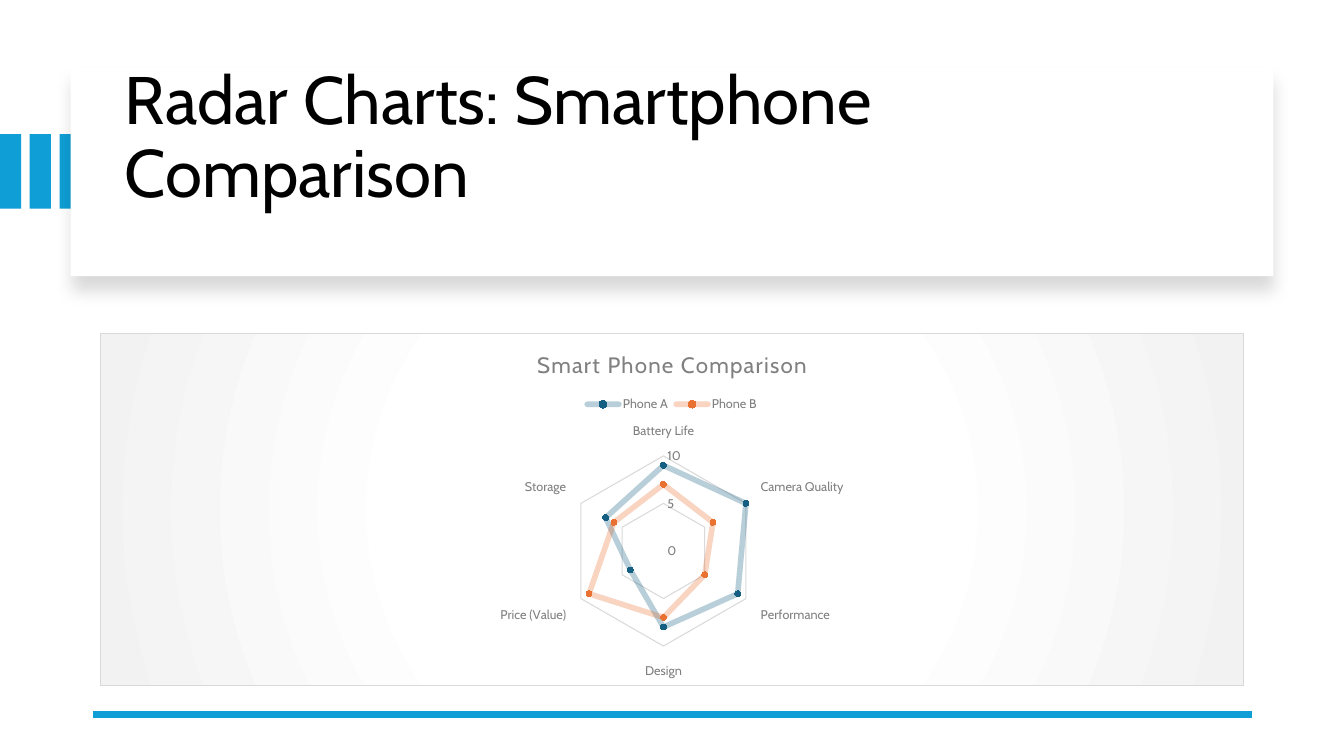
from lxml import etree
from pptx import Presentation
from pptx import util as u
from pptx.chart.data import CategoryChartData
from pptx.dml.color import RGBColor
from pptx.enum import chart as ch, shapes, text
from pptx.oxml import parse_xml
from pptx.oxml.ns import nsdecls, qn

THEME = dict(font="Cabin", accent="0F9ED5", white="FFFFFF", ink="000000",
             grey="808080", rule="D9D9D9", edge="F2F2F2",
             phone_a="156082", phone_b="E97132",
             title=48, chart_title=16, base=10, label=9)
rgb = lambda name: RGBColor.from_string(THEME[name])


def style(font, size, color):
    fmt = dict(name=THEME["font"], size=u.Pt(THEME[size]), bold=False)
    for key, value in fmt.items():
        setattr(font, key, value)
    font.color.rgb = rgb(color)


def block(left, top, width, height, color):
    sp = s.shapes.add_shape(shapes.MSO_SHAPE.RECTANGLE,
                            *map(u.Inches, (left, top, width, height)))
    sp.shadow.inherit = False
    sp.fill.solid()
    sp.fill.fore_color.rgb = rgb(color)
    sp.line.fill.background()
    return sp


prs = Presentation()
prs.slide_width, prs.slide_height = u.Inches(13.33), u.Inches(7.5)
s = prs.slides.add_slide(prs.slide_layouts[6])

# Accent bars at the left edge
for col in range(3):
    block(col * 0.295, 1.33, 0.21, 0.74, "accent")

# Title card with a soft shadow below
card = block(0.7, 0.67, 11.93, 2.07, "white")
effects = card._element.spPr.find(qn("a:effectLst"))
effects.append(parse_xml(
    f'<a:outerShdw {nsdecls("a")} blurRad="{u.Pt(11)}" dist="{u.Pt(10)}" '
    'dir="5400000" algn="t" rotWithShape="0"><a:srgbClr val="000000">'
    '<a:alpha val="15000"/></a:srgbClr></a:outerShdw>'))

# Title, raised by one line through the bottom margin
tf = s.shapes.add_textbox(*map(u.Inches, (1.14, 0.89, 11.13, 1.7))).text_frame
frame = dict(word_wrap=True, vertical_anchor=text.MSO_ANCHOR.MIDDLE,
             margin_bottom=u.Inches(0.77))
for key, value in frame.items():
    setattr(tf, key, value)
p = tf.paragraphs[0]
p.line_spacing = 0.9
r = p.add_run()
r.text = "Radar Charts: Smartphone Comparison"
style(r.font, "title", "ink")

# Bottom rule
rule = s.shapes.add_connector(shapes.MSO_CONNECTOR.STRAIGHT,
                              *map(u.Inches, (12.42, 7.09, 0.92, 7.09)))
rule.line.color.rgb = rgb("accent")
rule.line.width = u.Pt(4.5)
etree.SubElement(rule._element.spPr, qn("a:effectLst"))

# Radar chart
data = CategoryChartData()
data.categories = ["Battery Life", "Camera Quality", "Performance",
                   "Design", "Price (Value)", "Storage"]
data.add_series("Phone A", (9, 10, 9, 8, 4, 7))
data.add_series("Phone B", (7, 6, 5, 7, 9, 6))
chart = s.shapes.add_chart(ch.XL_CHART_TYPE.RADAR_MARKERS,
                           *map(u.Inches, (0.99, 3.3, 11.35, 3.51)), data).chart
style(chart.font, "base", "ink")

# Chart title and legend
chart.has_title = True
r = chart.chart_title.text_frame.paragraphs[0].add_run()
r.text = "Smart Phone Comparison"
style(r.font, "chart_title", "grey")
r.font._element.set("spc", "100")
chart.chart_title.include_in_layout = False
chart.has_legend = True
chart.legend.position = ch.XL_LEGEND_POSITION.TOP
chart.legend.include_in_layout = False
style(chart.legend.font, "label", "grey")

# Axes
scale = dict(minimum_scale=0, maximum_scale=10, major_unit=5,
             has_major_gridlines=True)
for key, value in scale.items():
    setattr(chart.value_axis, key, value)
for axis in (chart.category_axis, chart.value_axis):
    axis.major_tick_mark = axis.minor_tick_mark = ch.XL_TICK_MARK.NONE
    style(axis.tick_labels.font, "label", "grey")
chart.value_axis.format.line.fill.background()
for line in (chart.category_axis.format.line,
             chart.value_axis.major_gridlines.format.line):
    line.color.rgb = rgb("rule")
    line.width = u.Pt(0.75)

# Series: pale thick lines with solid markers
for series, color in zip(chart.plots[0].series, ("phone_a", "phone_b")):
    series.smooth = False
    line = series.format.line
    line.color.rgb = rgb(color)
    line.width = u.Pt(4)
    ln = series._element.spPr.find(qn("a:ln"))
    ln.set("cap", "rnd")
    etree.SubElement(next(ln.iter(qn("a:srgbClr"))), qn("a:alpha"), val="30000")
    marker = series.marker
    marker.style, marker.size = ch.XL_MARKER_STYLE.CIRCLE, 4
    marker.format.fill.solid()
    marker.format.fill.fore_color.rgb = rgb(color)
    marker.format.line.fill.background()

# Chart background: radial gradient and thin border
stops = "".join(f'<a:gs pos="{pos}000"><a:srgbClr val="{THEME[color]}"/></a:gs>'
                for pos, color in ((0, "white"), (43, "white"), (100, "edge")))
chart._chartSpace.find(qn("c:chart")).addnext(parse_xml(
    f'<c:spPr {nsdecls("c", "a")}><a:gradFill><a:gsLst>{stops}</a:gsLst>'
    '<a:path path="circle"><a:fillToRect l="50000" t="50000" r="50000" b="50000"/>'
    f'</a:path></a:gradFill><a:ln w="{u.Pt(0.75)}"><a:solidFill>'
    f'<a:srgbClr val="{THEME["rule"]}"/></a:solidFill></a:ln></c:spPr>'))

prs.save("out.pptx")
